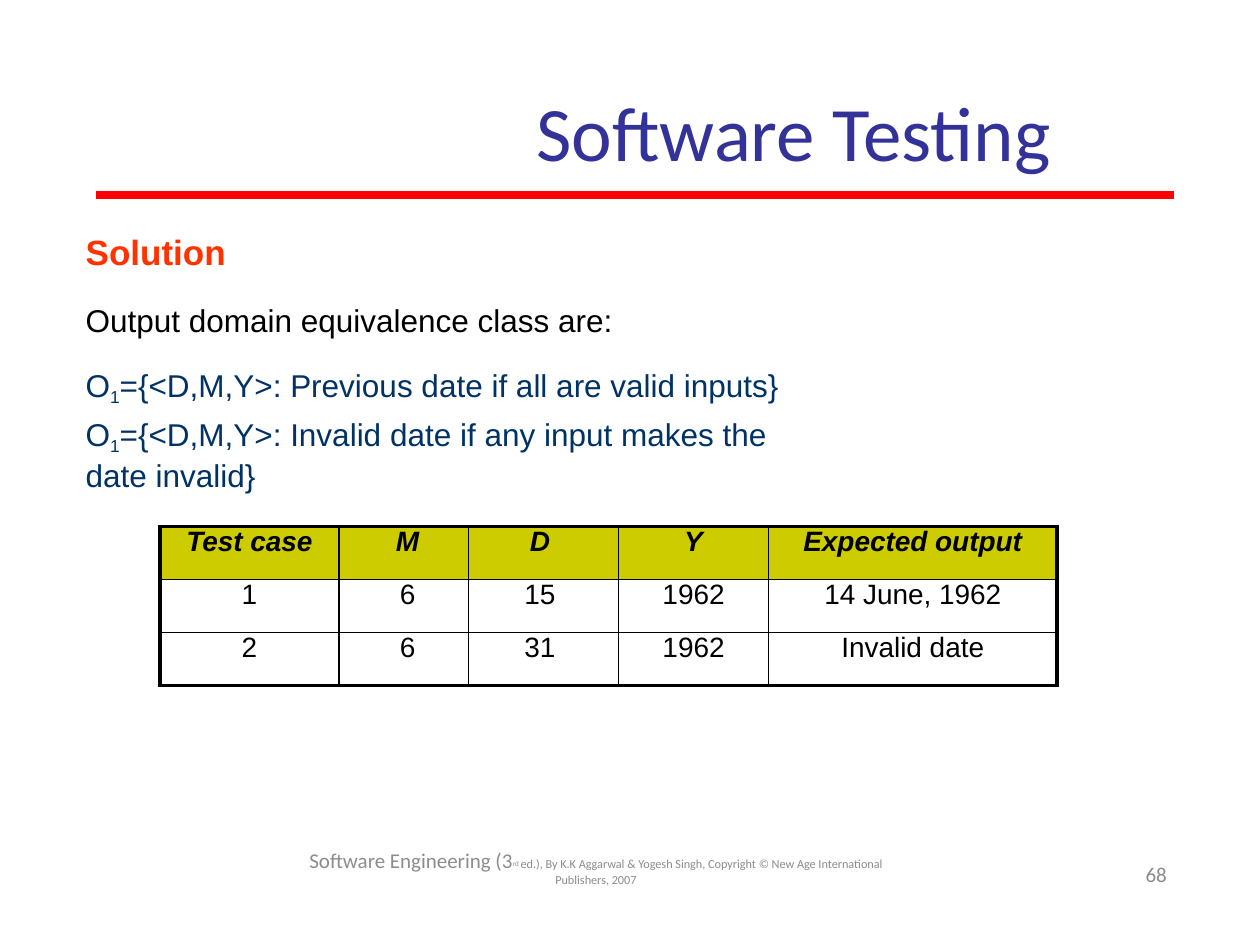
from lxml.etree import SubElement
from pptx import Presentation
from pptx.dml.color import RGBColor
from pptx.enum.shapes import MSO_CONNECTOR
from pptx.enum.text import MSO_ANCHOR, MSO_AUTO_SIZE, PP_ALIGN
from pptx.oxml.ns import qn
from pptx.util import Inches, Pt

presentation = Presentation()
presentation.slide_width = Inches(10)
presentation.slide_height = Inches(7.5)
width = presentation.slide_width
height = presentation.slide_height
slide = presentation.slides.add_slide(presentation.slide_layouts[5])


def add_text_frame(shape, left, top, across, down, anchor=MSO_ANCHOR.TOP):
    shape.left, shape.width = int(width * left / 100), int(width * across / 100)
    shape.top, shape.height = int(height * top / 100), int(height * down / 100)
    text_frame = shape.text_frame
    text_frame.auto_size = MSO_AUTO_SIZE.NONE
    text_frame.word_wrap = True
    text_frame.vertical_anchor = anchor
    text_frame.margin_left = text_frame.margin_right = 0
    text_frame.margin_top = text_frame.margin_bottom = 0
    return text_frame


def add_run(paragraph, text, font_name, size, color, baseline=0):
    run = paragraph.add_run()
    run.text = text
    run.font.name = font_name
    run.font.size = Pt(size)
    run.font.color.rgb = RGBColor.from_string(color)
    if baseline:
        run.font._element.set("baseline", str(baseline * 1000))
    return run


title = add_text_frame(slide.shapes.title, 5, 6, 90, 12.67, MSO_ANCHOR.MIDDLE)
title.margin_left = int(width * 0.26)
title.margin_top = int(height * 0.03)
title.paragraphs[0].alignment = PP_ALIGN.CENTER
add_run(title.paragraphs[0], "Software Testing", "Calibri", 44, "323299")

rule_top = int(height * 0.21)
rule_top = int(height * 0.2067)
rule = slide.shapes.add_connector(
    MSO_CONNECTOR.STRAIGHT, int(width * 0.076), rule_top, int(width * 0.932), rule_top
)
rule.line.color.rgb = RGBColor.from_string("FF0000")
rule.line.width = Pt(4.5)
SubElement(rule._element.spPr, qn("a:effectLst"))

solution = add_text_frame(slide.shapes.add_textbox(0, 0, 0, 0), 6.8, 24.4, 56.5, 23.2)
heading = solution.paragraphs[0]
add_run(heading, "Solution", "Arial", 20, "FF3200").font.bold = True
introduction = solution.add_paragraph()
introduction.line_spacing = 1.66
introduction.space_before = Pt(2.2)
add_run(introduction, "Output domain equivalence class are:", "Arial", 18, "000000")
for outcome, spacing, before in (
    ("Previous date if all are valid inputs}", 1.66, 0),
    ("Invalid date if any input makes the date invalid}", 1, 4.2),
):
    paragraph = solution.add_paragraph()
    paragraph.line_spacing = spacing
    paragraph.space_before = Pt(before)
    add_run(paragraph, "O", "Arial", 18, "003265")
    add_run(paragraph, "1", "Arial", 17, "003265", -21)
    add_run(paragraph, "={<D,M,Y>: " + outcome, "Arial", 18, "003265")

rows = (
    ("Test case", "M", "D", "Y", "Expected output"),
    ("1", "6", "15", "1962", "14 June, 1962"),
    ("2", "6", "31", "1962", "Invalid date"),
)
column_shares = (14.2, 10.3, 11.9, 11.9, 22.9)
last_row, last_column = len(rows) - 1, len(column_shares) - 1
table = slide.shapes.add_table(
    len(rows), len(column_shares), int(width * 0.127), int(height * 0.5573),
    int(width * 0.712), int(height * 0.168),
).table
table.first_row = table.horz_banding = False
for column, share in zip(table.columns, column_shares):
    column.width = int(width * share / 100)
for row_index, texts in enumerate(rows):
    for column_index, text in enumerate(texts):
        cell = table.cell(row_index, column_index)
        cell.margin_left = cell.margin_right = cell.margin_top = cell.margin_bottom = 0
        if text in ("M", "6"):
            cell.margin_left = int(width * 0.006)
        if column_index == 2:
            cell.margin_right = int(width * 0.006)
        paragraph = cell.text_frame.paragraphs[0]
        paragraph.alignment = PP_ALIGN.CENTER
        run = add_run(paragraph, text, "Arial", 16, "000000")
        run.font.bold = run.font.italic = row_index == 0
        for side, is_outer in (
            ("L", column_index == 0),
            ("R", column_index == last_column),
            ("T", row_index == 0),
            ("B", row_index == last_row),
        ):
            line_width = Pt(2.25 if is_outer else 1)
            properties = cell._tc.get_or_add_tcPr()
            border = SubElement(properties, qn("a:ln" + side), w=str(line_width))
            fill = SubElement(border, qn("a:solidFill"))
            SubElement(fill, qn("a:srgbClr"), val="000000")
        if row_index == 0:
            cell.fill.solid()
            cell.fill.fore_color.rgb = RGBColor.from_string("CCCC00")
        else:
            cell.fill.background()

footer = add_text_frame(
    slide.shapes.add_textbox(0, 0, 0, 0), 22.6, 90.93, 49.4, 2.93, MSO_ANCHOR.MIDDLE
)
credit = footer.paragraphs[0]
credit.alignment = PP_ALIGN.CENTER
credit.line_spacing = Pt(7.8)
for text, size, baseline in (
    ("Software Engineering (3", 12, 0),
    ("rd ", 7, 22),
    ("ed.), By K.K Aggarwal & Yogesh Singh, Copyright © New Age International Publishers, 2007", 7, 0),
):
    add_run(credit, text, "Calibri", size, "8C8C8C", baseline)

number = add_text_frame(
    slide.shapes.add_textbox(0, 0, 0, 0), 83.4, 86.27, 9.2, 8.8, MSO_ANCHOR.MIDDLE
)
number.margin_top = int(height * 0.04)
number.paragraphs[0].alignment = PP_ALIGN.RIGHT
number.paragraphs[0].line_spacing = Pt(13.2)
add_run(number.paragraphs[0], "68", "Calibri", 12, "8C8C8C")

presentation.save("out.pptx")
